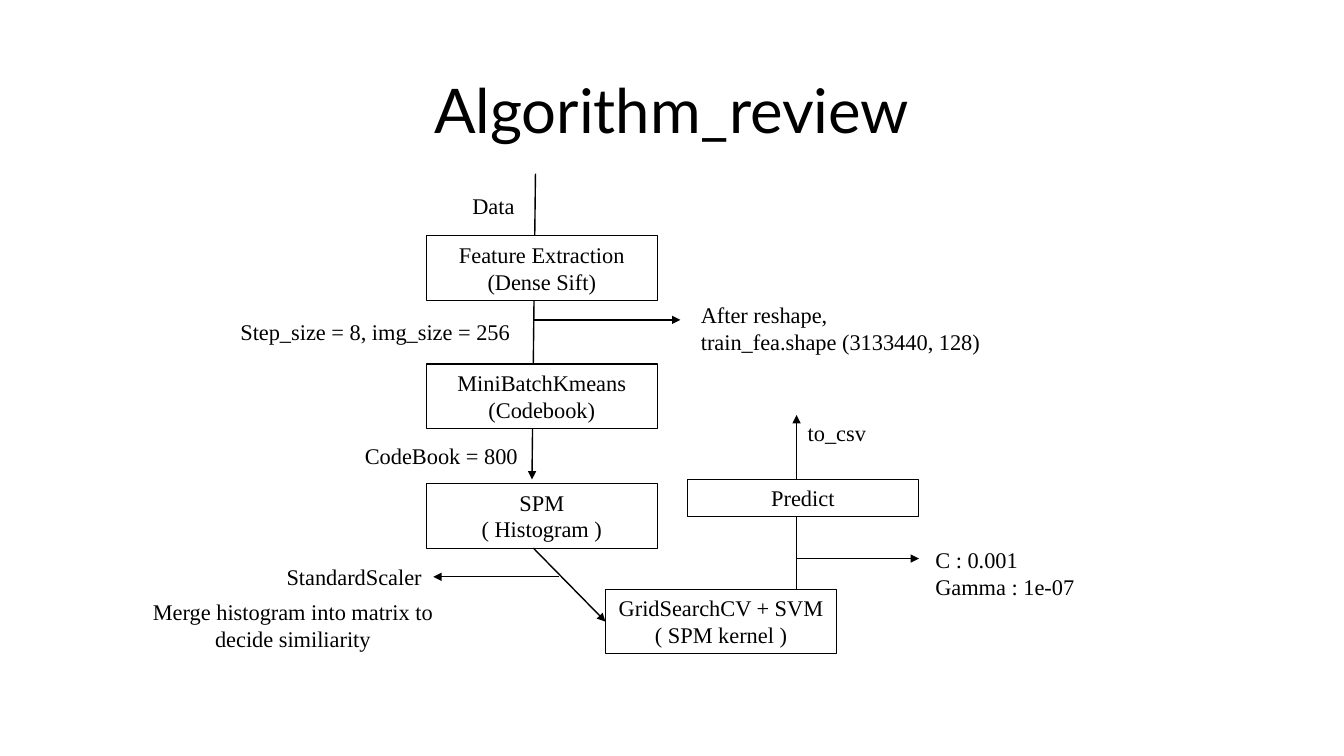
import pptx
import pptx.dml.color
import pptx.enum.shapes
import pptx.enum.text
import pptx.oxml
import pptx.oxml.ns
import pptx.util

Pt = pptx.util.Pt
ALIGN = pptx.enum.text.PP_ALIGN
ANCHOR = pptx.enum.text.MSO_ANCHOR
COLOURS = {"ink": "000000", "paper": "FFFFFF"}
BOX_WIDTH = 165
LINE_HEIGHT = 26.6
TWO_LINE_HEIGHT = 46
LEFT_SITE = 1


def colour(name):
    return pptx.dml.color.RGBColor.from_string(COLOURS[name])


def write_text(shape, text, font="Times New Roman", size=16,
               align=ALIGN.CENTER, anchor=ANCHOR.TOP, line_spacing=None):
    """Fill a shape with text, one paragraph per line."""
    frame = shape.text_frame
    frame.text = text
    frame.word_wrap = True
    frame.auto_size = pptx.enum.text.MSO_AUTO_SIZE.NONE
    frame.vertical_anchor = anchor
    for paragraph in frame.paragraphs:
        paragraph.alignment = align
        paragraph.line_spacing = line_spacing
        paragraph.font.name = font
        paragraph.font.size = Pt(size)
        paragraph.font.color.rgb = colour("ink")


class FlowSlide:
    """Holds the line style and the slide being drawn."""

    def __init__(self, presentation):
        self.slide = presentation.slides.add_slide(presentation.slide_layouts[5])
        self.box_line = 0.75
        self.arrow_line = 1

    def title(self, text, left, top, width, height):
        title = self.slide.shapes.title
        title.left, title.top = Pt(left), Pt(top)
        title.width, title.height = Pt(width), Pt(height)
        write_text(title, text, font="Lato", size=44,
                   anchor=ANCHOR.MIDDLE, line_spacing=0.9)

    def box(self, text, left, top, height=TWO_LINE_HEIGHT):
        box = self.slide.shapes.add_shape(
            pptx.enum.shapes.MSO_SHAPE.RECTANGLE,
            Pt(left), Pt(top), Pt(BOX_WIDTH), Pt(height))
        box.shadow.inherit = False
        box.fill.solid()
        box.fill.fore_color.rgb = colour("paper")
        box.line.color.rgb = colour("ink")
        box.line.width = Pt(self.box_line)
        write_text(box, text)
        return box

    def label(self, text, left, top, width, height=LINE_HEIGHT, align=ALIGN.CENTER):
        label = self.slide.shapes.add_textbox(Pt(left), Pt(top), Pt(width), Pt(height))
        write_text(label, text, align=align)

    def arrow(self, start_x, start_y, end_x, end_y):
        arrow = self.slide.shapes.add_connector(
            pptx.enum.shapes.MSO_CONNECTOR.STRAIGHT,
            Pt(start_x), Pt(start_y), Pt(end_x), Pt(end_y))
        arrow.line.color.rgb = colour("ink")
        arrow.line.width = Pt(self.arrow_line)
        head = pptx.oxml.parse_xml(
            f'<a:tailEnd {pptx.oxml.ns.nsdecls("a")} type="triangle"/>')
        arrow.line._get_or_add_ln().append(head)
        arrow._element.spPr.append(
            pptx.oxml.parse_xml(f'<a:effectLst {pptx.oxml.ns.nsdecls("a")}/>'))
        return arrow


def main():
    presentation = pptx.Presentation()
    presentation.slide_width, presentation.slide_height = Pt(960), Pt(540)
    flow = FlowSlide(presentation)
    flow.title("Algorithm_review", 66, 29, 828, 104.5)

    # Long arrows run behind the boxes
    flow.arrow(382.5, 124, 380, 342.5)
    flow.arrow(569, 430.5, 569, 296.5)

    for text, top in (("Feature Extraction\n(Dense Sift)", 168.5),
                      ("MiniBatchKmeans\n(Codebook)", 260),
                      ("SPM\n( Histogram )", 345.5)):
        flow.box(text, 304.5, top)
    flow.box("Predict", 491, 342.5, LINE_HEIGHT)
    grid_search = flow.box("GridSearchCV + SVM\n( SPM kernel )", 432.5, 421)

    histogram_arrow = flow.arrow(381, 391.5, 432.5, 444)
    histogram_arrow.end_connect(grid_search, LEFT_SITE)
    flow.arrow(381, 228.5, 486, 228.5)
    flow.arrow(399.5, 412, 309.5, 412)
    flow.arrow(569, 399, 656.5, 399)

    flow.label("Data", 324, 134, 57)
    flow.label("Step_size = 8, img_size = 256", 155.5, 223.5, 225)
    flow.label("CodeBook = 800", 251.5, 312.5, 127.5)
    flow.label("StandardScaler", 196, 399, 114)
    flow.label("to_csv", 559.5, 295.5, 76.5)
    flow.label("Merge histogram into matrix to decide similiarity",
               101.5, 424, 215.5, TWO_LINE_HEIGHT)
    flow.label("After reshape,\ntrain_fea.shape (3133440, 128)",
               493.5, 211.5, 341.5, TWO_LINE_HEIGHT, ALIGN.JUSTIFY)
    flow.label("C : 0.001\nGamma : 1e-07",
               661, 386.5, 125.5, TWO_LINE_HEIGHT, ALIGN.JUSTIFY)

    presentation.save("out.pptx")


if __name__ == "__main__":
    main()
